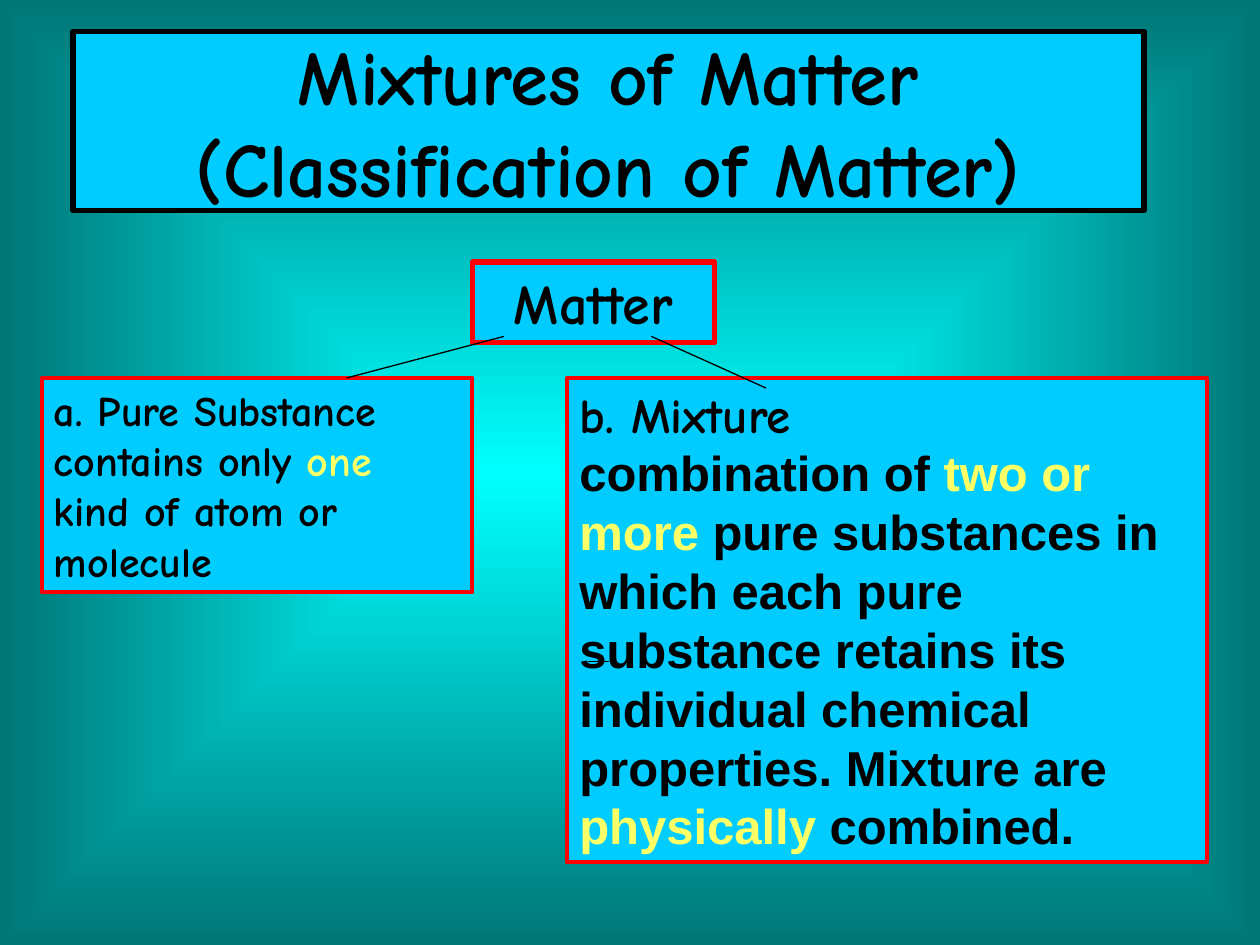
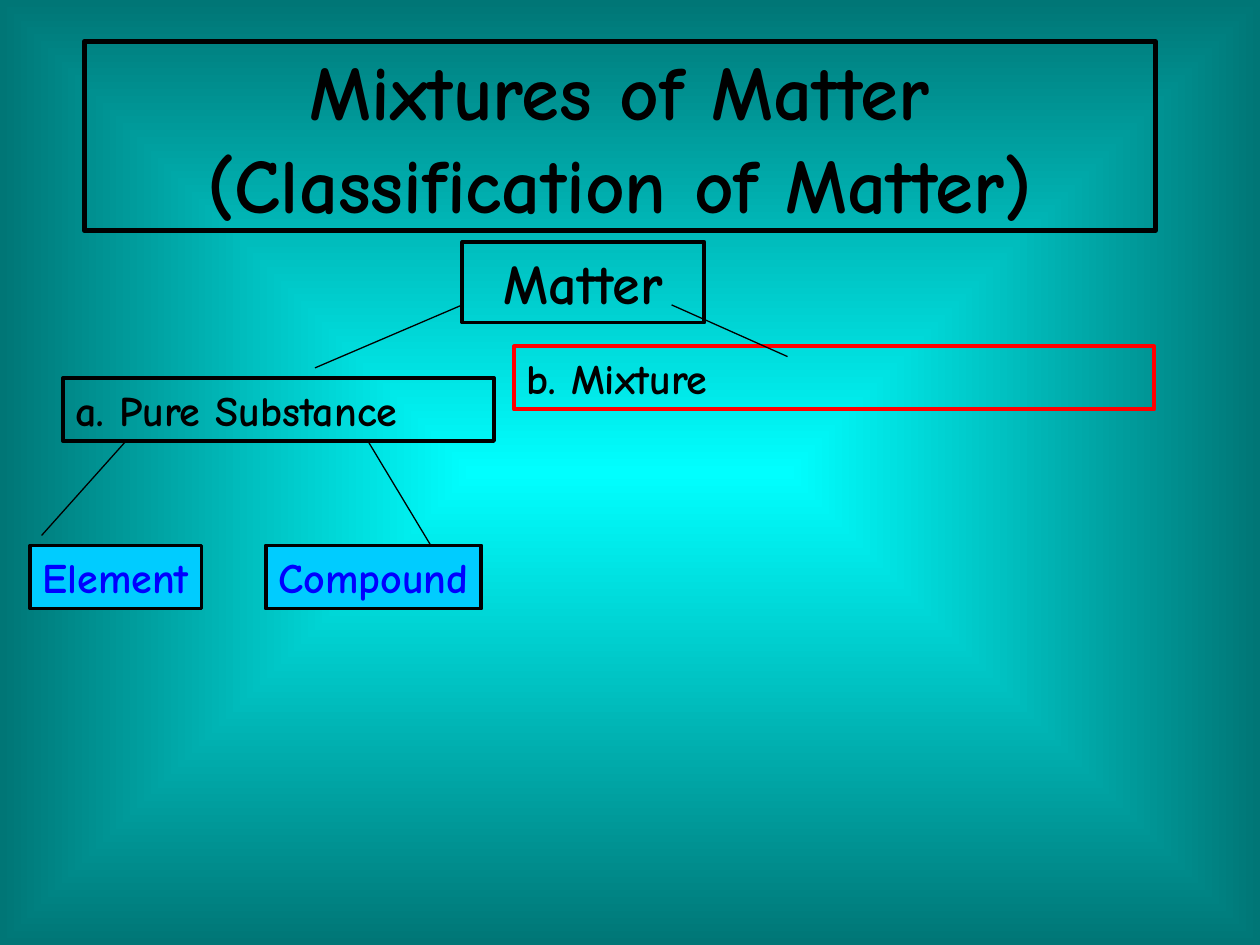
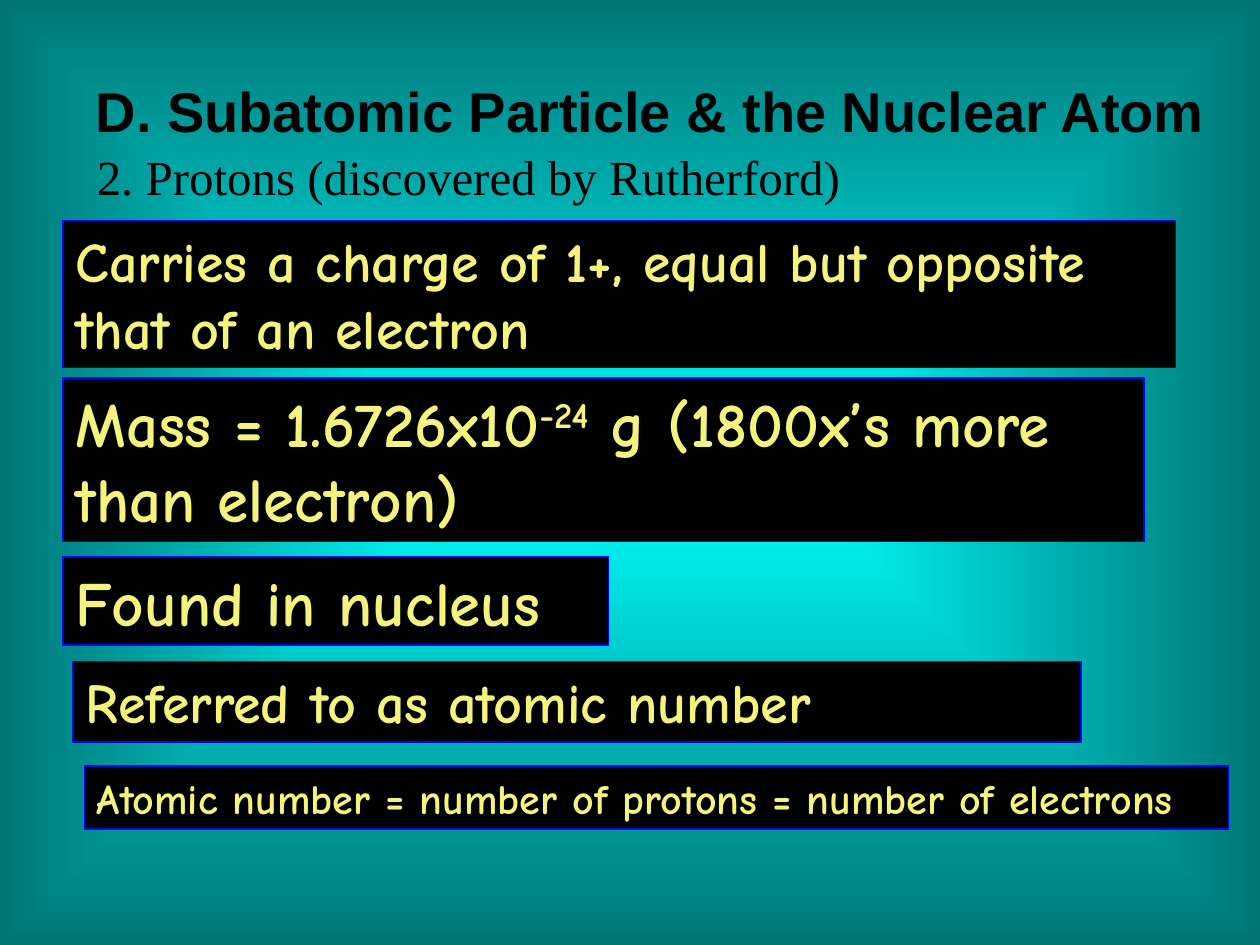
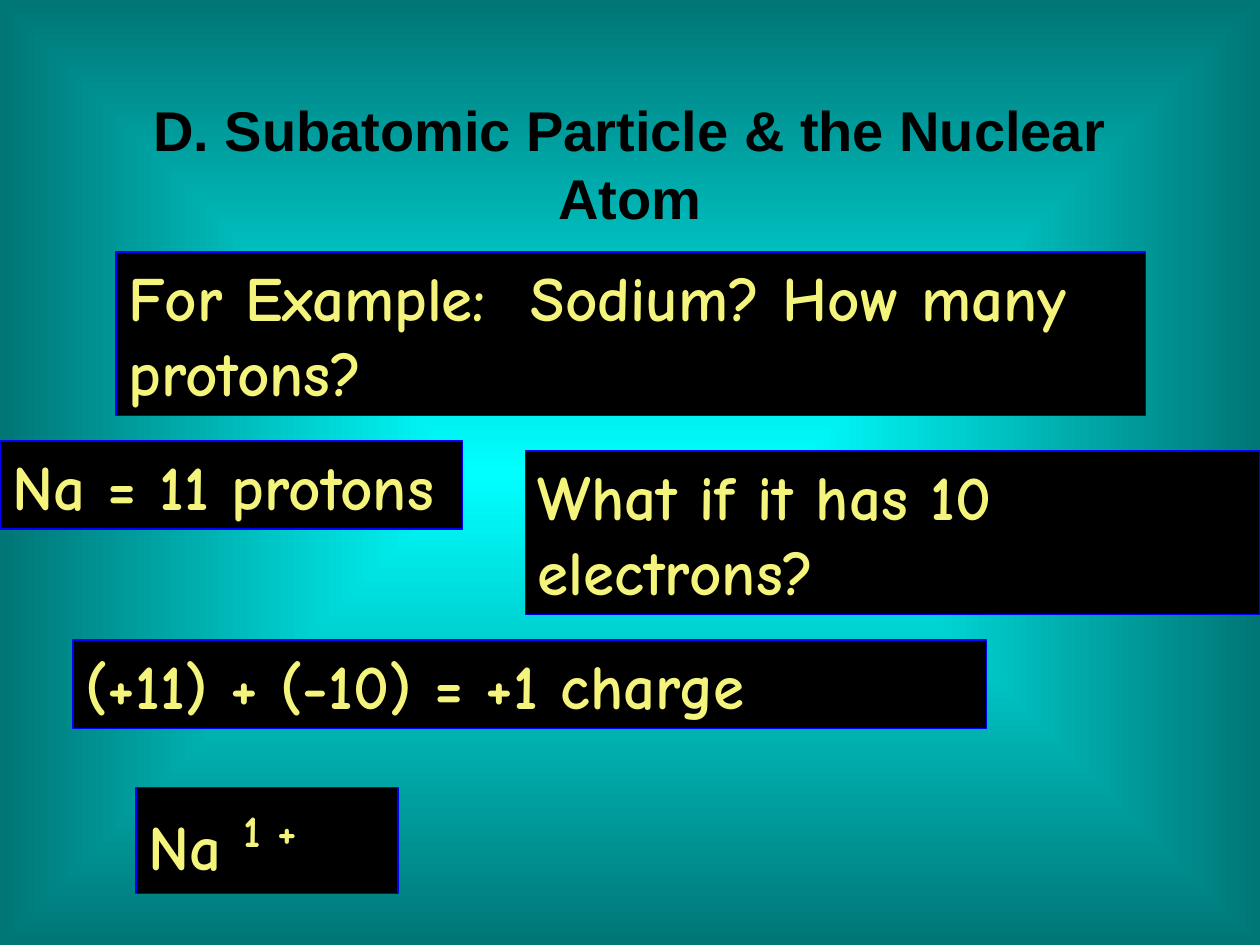
"""Build four chemistry slides on matter, mixtures and protons."""
from pptx import Presentation
from pptx.dml.color import RGBColor
from pptx.enum.shapes import MSO_CONNECTOR as Link, MSO_SHAPE as Shape
from pptx.enum.text import MSO_ANCHOR as Anchor, MSO_AUTO_SIZE as Fit, PP_ALIGN as Align
from pptx.oxml import parse_xml
from pptx.oxml.ns import nsdecls, qn
from pptx.util import Inches, Pt

COLORS = {
    "aqua": "00FFFF", "teal": "007676", "sky": "00CCFF", "black": "000000",
    "red": "FF0000", "blue": "0000FF", "lemon": "FFFF66", "cream": "F4F47C",
}
COMIC, ARIAL, TIMES = "Comic Neue", "Arial", "Times New Roman"

BASE = dict(fill=None, line=None, width=0, ink="black", font=COMIC, bold=True,
            align=Align.LEFT, anchor=Anchor.TOP, fit=Fit.SHAPE_TO_FIT_TEXT,
            wrap=True, space=1)
HEAD = dict(align=Align.CENTER, anchor=Anchor.MIDDLE, fit=Fit.NONE)
SKY = dict(fill="sky", line="red", width=2.25)
CLEAR = dict(line="black", width=2.25)
STYLES = {
    "title": dict(HEAD, fill="sky", line="black", width=3),
    "frame": dict(HEAD, line="black", width=3),
    "topic": dict(HEAD, font=ARIAL),
    "sub": dict(font=TIMES, bold=False, fit=Fit.NONE, space=0.9),
    "root": dict(SKY, width=3, align=Align.CENTER),
    "sky": SKY,
    "plain root": dict(CLEAR, align=Align.CENTER),
    "plain": CLEAR,
    "red": dict(line="red", width=2.25),
    "leaf": dict(CLEAR, fill="sky", ink="blue", wrap=False),
    "fact": dict(fill="black", line="blue", width=0.75, ink="cream"),
}

MIX = "Mixtures of Matter (Classification of Matter)"
ATOM = "D. Subatomic Particle & the Nuclear Atom"
KEY = {"ink": "lemon"}
RAISED = {"raised": True}

SLIDES = [
    {"boxes": [
        ("title", (0.58, 0.25, 8.5, 1.42), 44, [MIX]),
        ("root", (3.75, 2.08, 1.92, 0.64), 32, ["Matter"]),
        ("sky", (0.33, 3, 3.42, 1.7), 24, [
            "a. Pure Substance",
            ["contains only ", ("one", KEY), " kind of atom or molecule"]]),
        ("sky", (4.5, 3, 5.08, 3.84), 28, [
            "b. Mixture",
            {"font": ARIAL, "runs": [
                "combination of ", ("two or more", KEY),
                " pure substances in which each pure substance retains its "
                "individual chemical properties. Mixture are ",
                ("physically", KEY), " combined."]}])],
     "lines": [(4, 2.67, 2.75, 3), (5.17, 2.67, 6.08, 3.08),
               (4.67, 5.25, 4.83, 5.25)]},
    {"boxes": [
        ("frame", (0.67, 0.33, 8.5, 1.5), 44, [MIX]),
        ("plain root", (3.67, 1.92, 1.92, 0.64), 32, ["Matter"]),
        ("plain", (0.5, 3, 3.42, 0.5), 24, ["a. Pure Substance"]),
        ("red", (4.08, 2.75, 5.08, 0.5), 24, ["b. Mixture"]),
        ("leaf", (0.24, 4.33, 1.36, 0.5), 24, ["Element"]),
        ("leaf", (2.11, 4.33, 1.71, 0.5), 24, ["Compound"])],
     "lines": [(3.67, 2.42, 2.5, 2.92), (5.33, 2.42, 6.25, 2.83),
               (1, 3.5, 0.33, 4.25), (2.92, 3.5, 3.42, 4.33)]},
    {"boxes": [
        ("topic", (0.33, 0.25, 9.67, 1.25), 32, [ATOM]),
        ("sub", (0.67, 1.17, 8.67, 0.75), 28,
         ["2. Protons (discovered by Rutherford)"]),
        ("fact", (0.5, 1.75, 8.83, 1.17), 32,
         ["Carries a charge of 1+, equal but opposite that of an electron"]),
        ("fact", (0.5, 3, 8.58, 1.3), 36,
         [["Mass = 1.6726x10", ("-24", RAISED),
           " g (1800x’s more than electron)"]]),
        ("fact", (0.58, 5.25, 8, 0.64), 32, ["Referred to as atomic number"]),
        ("fact", (0.5, 4.42, 4.33, 0.7), 36, ["Found in nucleus"]),
        ("fact", (0.67, 6.08, 9.08, 0.5), 24,
         ["Atomic number = number of protons = number of electrons"])]},
    {"boxes": [
        ("topic", (0.75, 0.67, 8.5, 1.25), 32, [ATOM]),
        ("fact", (0.92, 2, 8.17, 1.3), 36,
         ["For Example:  Sodium? How many protons?"]),
        ("fact", (0, 3.5, 3.67, 0.7), 36, ["Na = 11 protons"]),
        ("fact", (0.58, 5.08, 7.25, 0.7), 36, ["(+11) + (-10) = +1 charge"]),
        ("fact", (1.08, 6.25, 2.08, 0.84), 36,
         [["Na ", ("1 +", dict(RAISED, size=44))]]),
        ("fact", (4.17, 3.58, 5.83, 1.3), 36,
         ["What if it has 10 electrons?"])]},
]


def color(name):
    return RGBColor.from_string(COLORS[name])


def set_back(master):
    fill = master.background.fill
    fill.gradient()
    for stop, name, place in zip(fill.gradient_stops, ("aqua", "teal"), (0, 1)):
        stop.color.rgb = color(name)
        stop.position = place
    lin = master.element.find(".//" + qn("a:lin"))
    lin.getparent().replace(lin, parse_xml(
        f'<a:path {nsdecls("a")} path="rect"><a:fillToRect l="50000" '
        't="50000" r="50000" b="50000"/></a:path>'))


def add_run(para, text, ink=None, size=None, raised=False):
    run = para.add_run()
    run.text = text
    if ink:
        run.font.color.rgb = color(ink)
    if size:
        run.font.size = Pt(size)
    if raised:
        run._r.get_or_add_rPr().set("baseline", "30000")


def add_para(para, part, look, size):
    if isinstance(part, str):
        part = [part]
    if isinstance(part, list):
        part = {"runs": part}
    para.alignment = look["align"]
    para.line_spacing = look["space"]
    font = para.font
    font.name = part.get("font", look["font"])
    font.size, font.bold = Pt(size), look["bold"]
    font.color.rgb = color(look["ink"])
    for run in part["runs"]:
        text, opts = (run, {}) if isinstance(run, str) else run
        add_run(para, text, **opts)


def add_box(slide, style, at, size, parts):
    look = {**BASE, **STYLES[style]}
    at = [Inches(n) for n in at]
    if look["line"]:
        box = slide.shapes.add_shape(Shape.RECTANGLE, *at)
        box.shadow.inherit = False
        box.line.color.rgb = color(look["line"])
        box.line.width = Pt(look["width"])
    else:
        box = slide.shapes.add_textbox(*at)
    if look["fill"]:
        box.fill.solid()
        box.fill.fore_color.rgb = color(look["fill"])
    else:
        box.fill.background()
    frame = box.text_frame
    frame.word_wrap, frame.auto_size = look["wrap"], look["fit"]
    frame.vertical_anchor = look["anchor"]
    for i, part in enumerate(parts):
        para = frame.add_paragraph() if i else frame.paragraphs[0]
        add_para(para, part, look, size)


def add_line(slide, ends):
    line = slide.shapes.add_connector(Link.STRAIGHT, *map(Inches, ends))
    line.line.color.rgb = color("black")
    line.line.width = Pt(0.75)
    line._element.spPr.append(parse_xml(f'<a:effectLst {nsdecls("a")}/>'))


def main():
    deck = Presentation()
    deck.slide_width, deck.slide_height = Inches(10), Inches(7.5)
    set_back(deck.slide_master)
    for page in SLIDES:
        slide = deck.slides.add_slide(deck.slide_layouts[6])
        for box in page["boxes"]:
            add_box(slide, *box)
        for ends in page.get("lines", []):
            add_line(slide, ends)
    deck.save("out.pptx")


if __name__ == "__main__":
    main()
